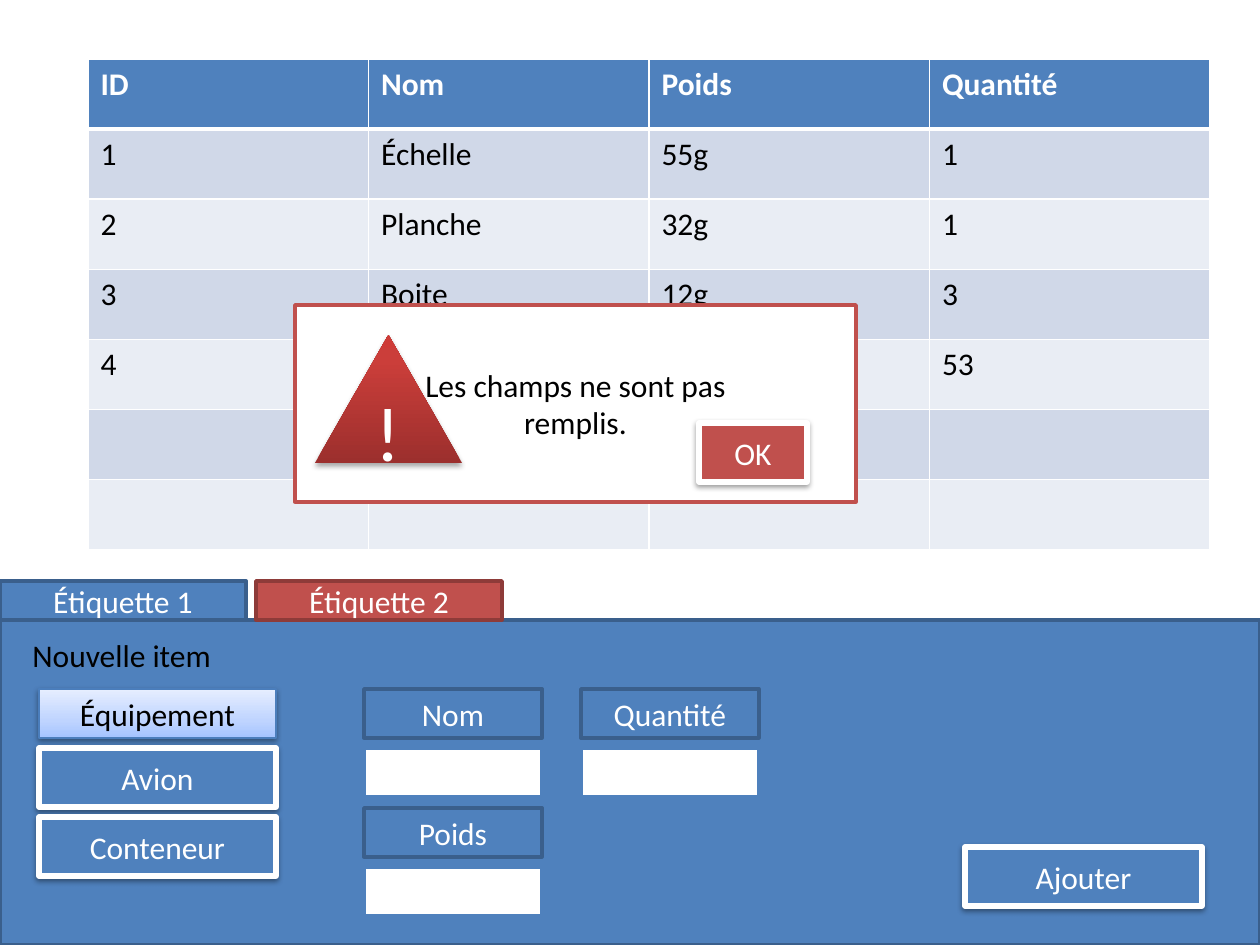
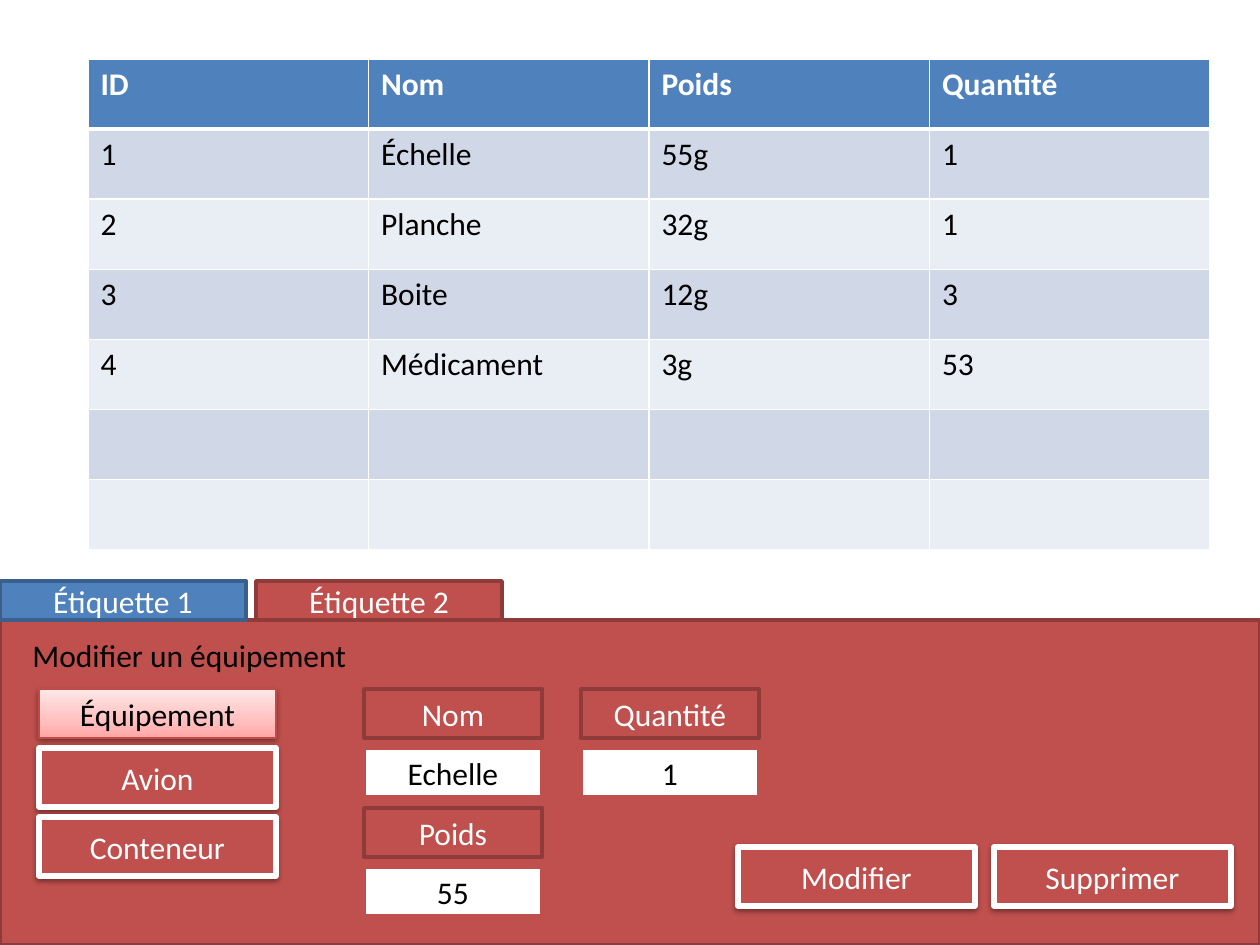
import copy
from lxml import etree
from pptx import Presentation
from pptx import util as u
from pptx.dml.color import RGBColor
from pptx.enum import shapes, text
from pptx.oxml import ns

PX = u.Inches(1) / 126
BLUE = RGBColor(0x4F, 0x81, 0xBD)
BLUE_EDGE = RGBColor(0x3A, 0x5F, 0x8C)
BLUE_GLOW = [RGBColor(0xA4, 0xC4, 0xFF), RGBColor(0xBF, 0xD4, 0xFF), RGBColor(0xE6, 0xEE, 0xFF)]
BLUE_RIM = RGBColor(0x4B, 0x7E, 0xBC)
RED = RGBColor(0xC0, 0x50, 0x4D)
RED_EDGE = RGBColor(0x8E, 0x3B, 0x39)
RED_GLOW = [RGBColor(0xFF, 0xA6, 0xA5), RGBColor(0xFF, 0xC0, 0xBF), RGBColor(0xFF, 0xE7, 0xE7)]
RED_RIM = RGBColor(0xBF, 0x4C, 0x48)
WARNING = [RGBColor(0x9C, 0x2F, 0x2D), RGBColor(0xCB, 0x3E, 0x3A), RGBColor(0xCE, 0x3B, 0x37)]
WHITE = RGBColor(0xFF, 0xFF, 0xFF)
BLACK = RGBColor(0, 0, 0)
ROW_DARK = RGBColor(0xD0, 0xD8, 0xE8)
ROW_LIGHT = RGBColor(0xE9, 0xED, 0xF4)

INVENTORY = [
    ["ID", "Nom", "Poids", "Quantité"],
    ["1", "Échelle", "55g", "1"],
    ["2", "Planche", "32g", "1"],
    ["3", "Boite", "12g", "3"],
    ["4", "Médicament", "3g", "53"],
    [""] * 4,
    [""] * 4,
]
FIELDS = [("Nom", 364, 0), ("Poids", 364, 1), ("Quantité", 581, 0)]
SCREENS = [
    dict(title="Nouvelle item", title_width=207, main=BLUE, edge=BLUE_EDGE,
         glow=BLUE_GLOW, rim=BLUE_RIM, entries=["", "", ""],
         actions=[("Ajouter", 965)], alert=True),
    dict(title="Modifier un équipement", title_width=344, main=RED, edge=RED_EDGE,
         glow=RED_GLOW, rim=RED_RIM, entries=["Echelle", "55", "1"],
         actions=[("Modifier", 738), ("Supprimer", 994)], alert=False),
]


def write(frame, content, size=18, color=WHITE, bold=False, align=text.PP_ALIGN.CENTER):
    for number, line in enumerate(content.split("\n")):
        paragraph = frame.add_paragraph() if number else frame.paragraphs[0]
        paragraph.alignment = align
        run = paragraph.add_run()
        run.text = line
        run.font.name = "Calibri"
        run.font.size = u.Pt(size)
        run.font.bold = bold
        run.font.color.rgb = color


def box(slide, place, fill, edge=None, weight=2, label="", color=WHITE, size=18,
        shadow=None, kind=shapes.MSO_SHAPE.RECTANGLE, middle=35):
    shape = slide.shapes.add_shape(kind, *[round(n * PX) for n in place])
    shape.shadow.inherit = False
    properties = shape._element.spPr
    if isinstance(fill, list):
        shape.fill.gradient()
        shape.fill.gradient_angle = 90
        stops = properties.find(".//" + ns.qn("a:gsLst"))
        stops.insert(1, copy.deepcopy(stops[0]))
        for stop, tint, position in zip(shape.fill.gradient_stops, fill, (0, middle, 100)):
            stop.color.rgb = tint
            stop.position = position / 100
    else:
        shape.fill.solid()
        shape.fill.fore_color.rgb = fill
    if edge is None:
        shape.line.fill.background()
    else:
        shape.line.color.rgb = edge
        shape.line.width = u.Pt(weight)
    if shadow:
        alpha, distance = shadow
        outer = etree.SubElement(properties.find(ns.qn("a:effectLst")), ns.qn("a:outerShdw"),
                                 blurRad=str(u.Pt(3.1)), dist=str(u.Pt(distance)),
                                 dir="5400000", rotWithShape="0")
        black = etree.SubElement(outer, ns.qn("a:srgbClr"), val="000000")
        etree.SubElement(black, ns.qn("a:alpha"), val=str(alpha * 1000))
    if label:
        shape.text_frame.vertical_anchor = text.MSO_ANCHOR.MIDDLE
        write(shape.text_frame, label, size=size, color=color)


deck = Presentation()
deck.slide_width = u.Inches(10)
deck.slide_height = u.Inches(7.5)
raised = dict(edge=WHITE, weight=3, shadow=(38, 1.6))

for screen in SCREENS:
    slide = deck.slides.add_slide(deck.slide_layouts[6])
    main, edge = screen["main"], screen["edge"]

    box(slide, (0, 620, 1260, 325), main, edge)
    box(slide, (0, 581, 246, 39), BLUE, BLUE_EDGE, label="Étiquette 1")
    box(slide, (256, 581, 246, 39), RED, RED_EDGE, label="Étiquette 2")

    inventory = slide.shapes.add_table(
        len(INVENTORY), 4, *[round(n * PX) for n in (88, 59, 1122, 491)]).table
    for r, values in enumerate(INVENTORY):
        for c, value in enumerate(values):
            cell = inventory.cell(r, c)
            borders = cell._tc.get_or_add_tcPr()
            for side in "LRTB":
                thick = (r, side) in [(0, "B"), (1, "T")]
                line = etree.SubElement(borders, ns.qn("a:ln" + side),
                                        w=str(u.Pt(3 if thick else 1)))
                paint = etree.SubElement(line, ns.qn("a:solidFill"))
                etree.SubElement(paint, ns.qn("a:srgbClr"), val=str(WHITE))
            cell.fill.solid()
            cell.fill.fore_color.rgb = BLUE if r == 0 else ROW_DARK if r % 2 else ROW_LIGHT
            if value:
                write(cell.text_frame, value, color=BLACK if r else WHITE,
                      bold=r == 0, align=text.PP_ALIGN.LEFT)

    title = slide.shapes.add_textbox(
        *[round(n * PX) for n in (20, 630, screen["title_width"], 50)]).text_frame
    title.word_wrap = False
    title.auto_size = text.MSO_AUTO_SIZE.SHAPE_TO_FIT_TEXT
    write(title, screen["title"], color=BLACK, align=text.PP_ALIGN.LEFT)

    box(slide, (39, 689, 237, 49), screen["glow"], screen["rim"], 0.75,
        label="Équipement", color=BLACK, shadow=(38, 1.6))
    for category, top in [("Avion", 748), ("Conteneur", 817)]:
        box(slide, (39, top, 237, 59), main, label=category, **raised)

    for (field, left, row), entry in zip(FIELDS, screen["entries"]):
        box(slide, (left, 689 + 119 * row, 178, 49), main, edge, label=field)
        box(slide, (left, 748 + 119 * row, 178, 49), WHITE, main, label=entry, color=BLACK)

    for action, left in screen["actions"]:
        box(slide, (left, 847, 237, 59), main, label=action, **raised)

    if screen["alert"]:
        box(slide, (295, 305, 561, 197), WHITE, RED,
            label="Les champs ne sont pas\nremplis.", color=BLACK)
        box(slide, (315, 335, 147, 128), WARNING, label="!", size=44, shadow=(35, 1.8),
            kind=shapes.MSO_SHAPE.ISOSCELES_TRIANGLE, middle=80)
        box(slide, (699, 423, 108, 59), RED, label="OK", **raised)

deck.save("out.pptx")
